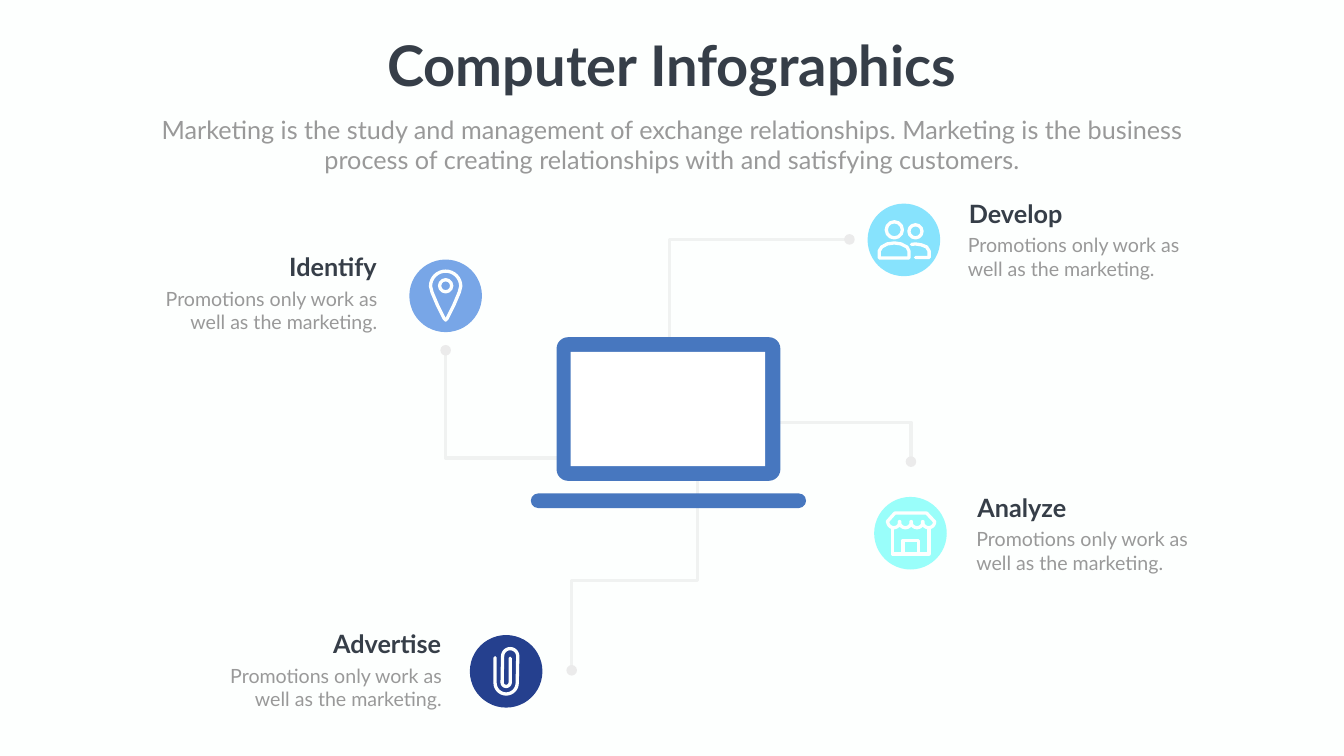
from math import cos, radians, sin

from lxml.etree import SubElement
from pptx import Presentation
from pptx.dml.color import RGBColor
from pptx.enum.shapes import MSO_SHAPE
from pptx.enum.text import MSO_ANCHOR, MSO_AUTO_SIZE, PP_ALIGN
from pptx.oxml.ns import qn
from pptx.util import Inches, Pt

BACKGROUND = RGBColor(0xFD, 0xFF, 0xFE)
DARK = RGBColor(0x36, 0x3E, 0x48)
GREY = RGBColor(0x99, 0x99, 0x99)
TRACK = RGBColor(0xF0, 0xF2, 0xF1)
DOT = RGBColor(0xEB, 0xEB, 0xEB)
WHITE = RGBColor(0xFF, 0xFF, 0xFF)
LAPTOP = RGBColor(0x47, 0x77, 0xBF)
SKY = RGBColor(0x87, 0xE3, 0xFD)
AQUA = RGBColor(0x99, 0xFE, 0xFA)
PERIWINKLE = RGBColor(0x78, 0xA6, 0xE7)
NAVY = RGBColor(0x25, 0x40, 0x8E)

DOT_SIZE = 0.21
BADGE_SIZE = 1.44
ICON_STROKE = 4.7


def write_text(box, text, size=28, color=GREY, bold=False, align=PP_ALIGN.LEFT, wrap=True):
    frame = box.text_frame
    frame.word_wrap = wrap
    frame.auto_size = MSO_AUTO_SIZE.NONE
    frame.vertical_anchor = MSO_ANCHOR.TOP
    para = frame.paragraphs[0]
    para.alignment = align
    span = para.add_run()
    span.text = text
    span.font.name = "Lato"
    span.font.size = Pt(size)
    span.font.bold = bold
    span.font.color.rgb = color


def style(shape, fill=None, line=None, width=0):
    shape.shadow.inherit = False
    if fill is None:
        shape.fill.background()
    else:
        shape.fill.solid()
        shape.fill.fore_color.rgb = fill
    if line is None:
        shape.line.fill.background()
    else:
        shape.line.color.rgb = line
        shape.line.width = Pt(width)


deck = Presentation()
deck.slide_width, deck.slide_height = Inches(26.66), Inches(15)
page = deck.slides.add_slide(deck.slide_layouts[5])
page.background.fill.solid()
page.background.fill.fore_color.rgb = BACKGROUND
shapes = page.shapes

# Title and subtitle
title = shapes.title
title.left, title.top = Inches(7.45), Inches(0.56)
title.width, title.height = Inches(11.76), Inches(1.45)
write_text(title, "Computer Infographics", size=80, color=DARK, bold=True,
           align=PP_ALIGN.CENTER, wrap=False)
subtitle = shapes.add_textbox(Inches(2.68), Inches(2.22), Inches(21.3), Inches(1.31))
write_text(subtitle, "Marketing is the study and management of exchange relationships. "
           "Marketing is the business process of creating relationships with and "
           "satisfying customers.", size=36, align=PP_ALIGN.CENTER)

# Tracks from the laptop, each ending in a dot
tracks = [
    [(13.28, 8.11), (13.28, 4.75), (16.85, 4.75)],
    [(13.84, 8.68), (13.84, 11.52), (11.34, 11.52), (11.34, 13.3)],
    [(12.87, 9.09), (8.84, 9.09), (8.84, 6.95)],
    [(13.43, 8.38), (18.07, 8.38), (18.07, 9.16)],
]
for track in tracks:
    corners = [(Inches(x), Inches(y)) for x, y in track]
    builder = shapes.build_freeform(*corners[0])
    builder.add_line_segments(corners[1:], close=False)
    style(builder.convert_to_shape(), line=TRACK, width=5)
    x, y = track[-1]
    dot = shapes.add_shape(MSO_SHAPE.OVAL, Inches(x - DOT_SIZE / 2), Inches(y - DOT_SIZE / 2),
                           Inches(DOT_SIZE), Inches(DOT_SIZE))
    style(dot, fill=DOT)

# Laptop: frame, screen, base
for kind, left, top, width, height, fill, rounding in [
    (MSO_SHAPE.ROUNDED_RECTANGLE, 11.04, 6.69, 4.44, 2.85, LAPTOP, 0.08),
    (MSO_SHAPE.RECTANGLE, 11.32, 6.98, 3.86, 2.27, WHITE, None),
    (MSO_SHAPE.ROUNDED_RECTANGLE, 10.53, 9.79, 5.46, 0.29, LAPTOP, 0.5),
]:
    part = shapes.add_shape(kind, Inches(left), Inches(top), Inches(width), Inches(height))
    if rounding:
        part.adjustments[0] = rounding
    style(part, fill=fill)

# Badges with heading and description; edge is where the text box meets the badge
for heading, x, y, fill, edge, top, align in [
    ("Develop", 17.93, 4.76, SKY, 19.12, 3.88, PP_ALIGN.LEFT),
    ("Analyze", 18.06, 10.58, AQUA, 19.29, 9.71, PP_ALIGN.LEFT),
    ("Identify", 8.84, 5.87, PERIWINKLE, 7.57, 4.94, PP_ALIGN.RIGHT),
    ("Advertise", 10.04, 13.32, NAVY, 8.85, 12.42, PP_ALIGN.RIGHT),
]:
    badge = shapes.add_shape(MSO_SHAPE.OVAL, Inches(x - BADGE_SIZE / 2),
                             Inches(y - BADGE_SIZE / 2), Inches(BADGE_SIZE), Inches(BADGE_SIZE))
    style(badge, fill=fill)
    on_left = align == PP_ALIGN.RIGHT
    head_left = edge - 2.61 if on_left else edge
    body_left = edge - 4.48 if on_left else edge - 0.02
    head = shapes.add_textbox(Inches(head_left), Inches(top), Inches(2.61), Inches(0.71))
    write_text(head, heading, size=36, color=DARK, bold=True, align=align)
    body = shapes.add_textbox(Inches(body_left), Inches(top + 0.7), Inches(4.49), Inches(1.04))
    write_text(body, "Promotions only work as well as the marketing.", align=align)

# Round icon parts: two heads and the eye of the pin
for x, y, radius in [(17.74, 4.56, 0.16), (18.16, 4.59, 0.13), (8.84, 5.67, 0.12)]:
    ring = shapes.add_shape(MSO_SHAPE.OVAL, Inches(x - radius), Inches(y - radius),
                            Inches(2 * radius), Inches(2 * radius))
    style(ring, line=BACKGROUND, width=ICON_STROKE)

# Icon strokes: (x, y) is a point, (x, y, radius, start, end) an arc in degrees
pin = [(8.84, 5.68, 0.3, 180, 360), (9.11, 5.8), (9, 6.06), (8.87, 6.32), (8.84, 6.35),
       (8.81, 6.32), (8.68, 6.06), (8.57, 5.8)]
clip = [(9.82, 13.05), (10.04, 13.55, 0.22, 180, 0), (10.12, 13.02, 0.15, 0, -180),
        (10.04, 13.54, 0.08, 180, 0), (10.12, 13.06)]
walls = [(17.7, 10.47), (17.7, 10.99), (18.43, 10.99), (18.43, 10.47)]
door = [(17.91, 10.99), (17.91, 10.72), (18.22, 10.72), (18.22, 10.99)]
awning = [(17.6, 10.35), (17.75, 10.18), (18.38, 10.18), (18.54, 10.35)]
awning += [(18.42 - 0.23 * i, 10.35, 0.12, 0, 180) for i in range(4)]
front_body = [(17.44, 5.12), (18.03, 5.12), (18.03, 4.98), (17.99, 4.9), (17.87, 4.84),
              (17.74, 4.82), (17.6, 4.84), (17.49, 4.9), (17.44, 4.98)]
back_body = [(18.16, 5.11), (18.43, 5.11), (18.43, 4.98), (18.38, 4.9), (18.28, 4.86),
             (18.16, 4.84), (18.08, 4.85)]
for stroke, closed in [(pin, True), (clip, False), (walls, False), (door, False),
                       (awning, True), (front_body, True), (back_body, False)]:
    points = []
    for x, y, *arc in stroke:
        if arc:
            radius, start, end = arc
            angles = [radians(start + (end - start) * i / 16) for i in range(17)]
            points += [(Inches(x + radius * cos(a)), Inches(y + radius * sin(a))) for a in angles]
        else:
            points.append((Inches(x), Inches(y)))
    builder = shapes.build_freeform(*points[0])
    builder.add_line_segments(points[1:], close=closed)
    icon = builder.convert_to_shape()
    style(icon, line=BACKGROUND, width=ICON_STROKE)
    outline = icon.line._get_or_add_ln()
    outline.set("cap", "rnd")
    SubElement(outline, qn("a:round"))

deck.save("out.pptx")
